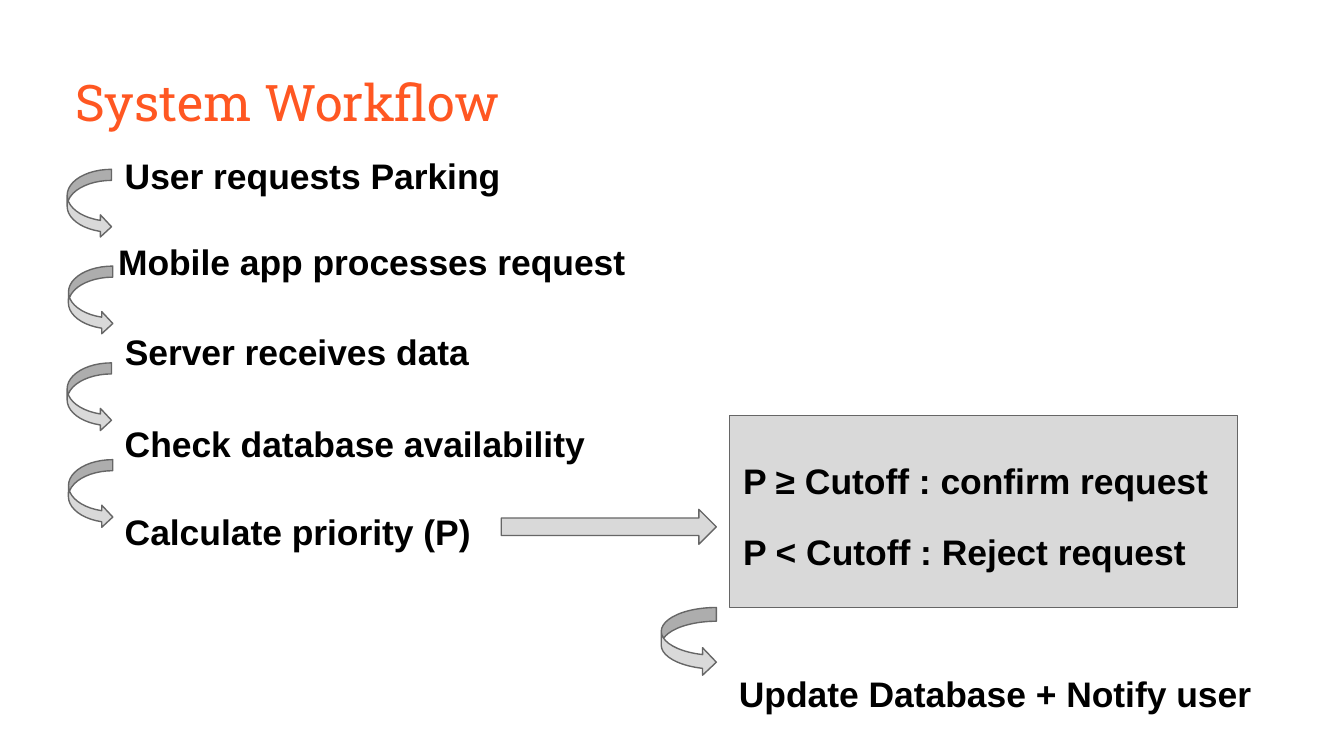
from pptx import Presentation
from pptx.dml.color import RGBColor
from pptx.enum.shapes import MSO_SHAPE
from pptx.enum.text import MSO_ANCHOR, PP_ALIGN
from pptx.util import Inches, Pt

RECTANGLE = MSO_SHAPE.RECTANGLE
RIGHT_ARROW = MSO_SHAPE.RIGHT_ARROW
CURVED_ARROW = MSO_SHAPE.CURVED_RIGHT_ARROW
TOP = MSO_ANCHOR.TOP
LEFT = PP_ALIGN.LEFT

# Content: each step has its text, left, top, width and height
TITLE = "System Workflow"
STEPS = [
    ("User requests Parking", 0.83, 1.00, 3.56, 0.40),
    ("Mobile app processes request", 0.78, 1.64, 4.21, 0.51),
    ("Server receives data", 0.83, 2.31, 3.19, 0.40),
    ("Check database availability", 0.83, 2.99, 4.50, 0.48),
    ("Calculate priority (P)", 0.83, 3.65, 3.56, 0.40),
    ("Update Database + Notify user", 5.40, 4.85, 4.13, 0.40),
]
DECISIONS = ["P ≥ Cutoff : confirm request", "P < Cutoff : Reject request"]

THEME = {
    "title": {"font": "Roboto Slab", "size": 27, "color": "FF5722", "bold": False},
    "body": {"font": "Arial", "size": 19, "color": "000000", "bold": True},
    "fill": "D9D9D9",
    "line": "666666",
    "line_width": 0.75,
}

# Layout in inches, on a 16:9 slide
SLIDE_WIDTH = 10
SLIDE_HEIGHT = SLIDE_WIDTH * 9 / 16
INSET = 0.1
LOOP_COUNT = 4
LOOP_LEFT, LOOP_TOP, LOOP_PITCH = 0.5, 1.26, 0.72
LOOP_WIDTH, LOOP_HEIGHT = 0.33, 0.51
LOOP_SHIFT = 0.01
BOX_LEFT, BOX_TOP, BOX_WIDTH, BOX_HEIGHT = 5.43, 3.09, 3.78, 1.43
ARROW_END = BOX_LEFT - INSET


def add_text(slide, lines, left, top, width, height, style, spacing=None, before=None):
    box = slide.shapes.add_textbox(*map(Inches, (left, top, width, height)))
    frame = box.text_frame
    frame.word_wrap = True
    frame.vertical_anchor = TOP
    frame.margin_left = frame.margin_right = Inches(INSET)
    frame.margin_top = frame.margin_bottom = Inches(INSET)
    for index, line in enumerate(lines):
        paragraph = frame.add_paragraph() if index else frame.paragraphs[0]
        paragraph.alignment = LEFT
        if spacing:
            paragraph.line_spacing = spacing
            paragraph.space_before = Pt(before)
        run = paragraph.add_run()
        run.text = line
        run.font.name = style["font"]
        run.font.size = Pt(style["size"])
        run.font.bold = style["bold"]
        run.font.color.rgb = RGBColor.from_string(style["color"])


def add_body(slide, lines, *place):
    add_text(slide, lines, *place, THEME["body"], spacing=1.15, before=12)


def add_outlined(slide, kind, left, top, width, height):
    shape = slide.shapes.add_shape(kind, *map(Inches, (left, top, width, height)))
    shape.shadow.inherit = False
    shape.fill.solid()
    shape.fill.fore_color.rgb = RGBColor.from_string(THEME["fill"])
    shape.line.color.rgb = RGBColor.from_string(THEME["line"])
    shape.line.width = Pt(THEME["line_width"])


def main():
    presentation = Presentation()
    presentation.slide_width = Inches(SLIDE_WIDTH)
    presentation.slide_height = Inches(SLIDE_HEIGHT)
    slide = presentation.slides.add_slide(presentation.slide_layouts[6])

    # Title and workflow steps
    add_text(slide, [TITLE], 0.46, 0.43, 9.32, 0.63, THEME["title"])
    for text, *place in STEPS:
        add_body(slide, [text], *place)

    # Curved arrows between the steps, every second one shifted slightly
    for index in range(LOOP_COUNT):
        add_outlined(slide, CURVED_ARROW, LOOP_LEFT + index % 2 * LOOP_SHIFT,
                     LOOP_TOP + index * LOOP_PITCH, LOOP_WIDTH, LOOP_HEIGHT)

    # Decision box
    add_outlined(slide, RECTANGLE, BOX_LEFT, BOX_TOP, BOX_WIDTH, BOX_HEIGHT)
    add_body(slide, DECISIONS, BOX_LEFT, 3.27, BOX_WIDTH, 1.14)

    # Arrows out of and into the decision box
    for kind, top, width, height in [
        (CURVED_ARROW, BOX_TOP + BOX_HEIGHT, 0.41, LOOP_HEIGHT),
        (RIGHT_ARROW, 3.79, 1.6, 0.26),
    ]:
        add_outlined(slide, kind, ARROW_END - width, top, width, height)

    presentation.save("out.pptx")


if __name__ == "__main__":
    main()
